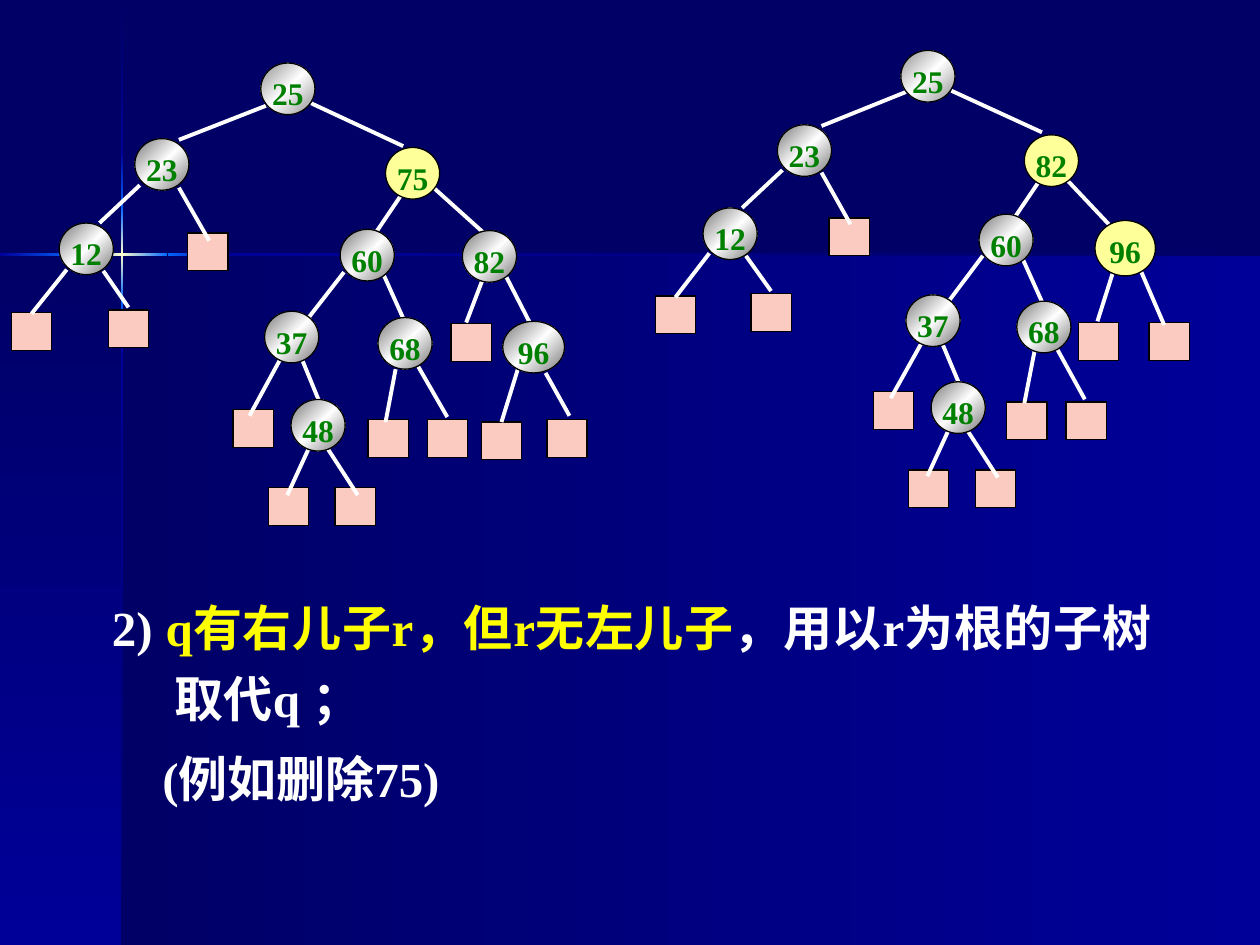
from dataclasses import dataclass

import lxml.etree
import pptx
import pptx.dml.color
import pptx.enum.shapes
import pptx.enum.text
import pptx.oxml
import pptx.oxml.ns
import pptx.slide
import pptx.util

Inches = pptx.util.Inches
Pt = pptx.util.Pt
Shapes = pptx.enum.shapes.MSO_SHAPE
Alignment = pptx.enum.text.PP_ALIGN

FONT = "Times New Roman"
COLORS = {
    "navy": "000066",
    "blue": "000099",
    "bright": "0066FF",
    "cream": "FFFFCC",
    "gray": "767676",
    "light_gray": "909090",
    "white": "FFFFFF",
    "black": "000000",
    "leaf": "FBCBC1",
    "highlight": "FFFF99",
    "key": "008000",
    "yellow": "FFFF00",
}


@dataclass(frozen=True)
class Panel:
    left: float
    top: float
    width: float
    height: float
    stops: tuple[str, ...]
    angle: int


@dataclass(frozen=True)
class Node:
    key: str
    left: float
    top: float
    fill: tuple[str, ...] = ("gray", "white", "gray")
    width: float = 0.43
    height: float = 0.41


@dataclass(frozen=True)
class Tree:
    nodes: list[Node]
    leaves: list[tuple[float, float]]
    edges: list[tuple[float, float, float, float]]


ROOT_FILL = ("light_gray", "white", "light_gray")
HIGHLIGHT = ("highlight",)
LEAF_SIZE = (0.32, 0.3)
FADE_IN = ("navy", "blue")
FADE_OUT = ("blue", "navy")
GLOW_IN = ("blue", "bright")
GLOW_OUT = ("bright", "blue")
FLARE = ("bright", "cream", "bright")

PANELS = [
    Panel(0.97, 2.02, 9.03, 5.48, FADE_IN, 0),
    Panel(0, 2.02, 0.97, 5.48, FADE_IN, 90),
    Panel(0.96, 0.01, 0.02, 1.2, FADE_IN, 90),
    Panel(0.96, 2.82, 0.02, 4.68, FADE_OUT, 90),
    Panel(1.77, 2.01, 8.23, 0.02, FADE_OUT, 0),
    Panel(0.96, 2.38, 0.02, 0.44, GLOW_OUT, 90),
    Panel(0.96, 1.21, 0.02, 0.44, GLOW_IN, 90),
    Panel(0.96, 1.65, 0.02, 0.73, FLARE, 90),
    Panel(0, 2.01, 0.61, 0.02, GLOW_IN, 0),
    Panel(1.33, 2.01, 0.44, 0.02, GLOW_OUT, 0),
    Panel(0.6, 2.01, 0.73, 0.02, FLARE, 0),
]

BEFORE = Tree(
    nodes=[
        Node("25", 2.07, 0.5, ROOT_FILL), Node("23", 1.07, 1.1),
        Node("75", 3.06, 1.17, HIGHLIGHT), Node("12", 0.47, 1.77),
        Node("60", 2.7, 1.82), Node("82", 3.67, 1.83),
        Node("37", 2.1, 2.47), Node("68", 3, 2.52),
        Node("96", 3.99, 2.55, width=0.49), Node("48", 2.31, 3.17),
    ],
    leaves=[
        (2.13, 3.87), (1.49, 1.85), (3.58, 2.57), (4.34, 3.33), (0.86, 2.46), (0.09, 2.48),
        (1.85, 3.25), (2.66, 3.87), (2.92, 3.33), (3.39, 3.33), (3.82, 3.35),
    ],
    edges=[
        (2.47, 0.82, 3.2, 1.16), (2.11, 0.84, 1.42, 1.11),
        (1.11, 1.47, 0.79, 1.77), (1.42, 1.49, 1.66, 1.91),
        (3.19, 1.54, 2.98, 1.85), (3.43, 1.48, 3.83, 1.84),
        (0.53, 2.14, 0.25, 2.49), (0.82, 2.15, 1.02, 2.44),
        (2.45, 3.56, 2.28, 3.93), (2.6, 3.56, 2.84, 3.93),
        (2.73, 2.16, 2.45, 2.52), (3.04, 2.17, 3.22, 2.57),
        (3.83, 2.22, 3.7, 2.56), (4.02, 2.2, 4.22, 2.59),
        (2.22, 2.86, 1.98, 3.3), (2.4, 2.86, 2.56, 3.25),
        (3.14, 2.93, 3.06, 3.35), (3.32, 2.91, 3.55, 3.31),
        (4.11, 2.93, 3.98, 3.35), (4.33, 2.96, 4.52, 3.3),
    ],
)

AFTER = Tree(
    nodes=[
        Node("25", 7.15, 0.4, ROOT_FILL), Node("23", 6.17, 0.99),
        Node("82", 8.13, 1.07, HIGHLIGHT), Node("12", 5.58, 1.65),
        Node("60", 7.77, 1.7), Node("96", 8.69, 1.75, HIGHLIGHT, 0.48, 0.44),
        Node("37", 7.19, 2.34), Node("68", 8.07, 2.39), Node("48", 7.39, 3.03),
    ],
    leaves=[
        (7.21, 3.73), (6.58, 1.73), (9.12, 2.56), (5.96, 2.33), (5.2, 2.35),
        (6.93, 3.11), (7.74, 3.73), (7.99, 3.19), (8.46, 3.19), (8.56, 2.56),
    ],
    edges=[
        (7.55, 0.72, 8.27, 1.05), (7.19, 0.73, 6.52, 1),
        (6.21, 1.35, 5.89, 1.65), (6.52, 1.37, 6.75, 1.78),
        (8.26, 1.42, 8.05, 1.73), (8.47, 1.43, 8.8, 1.78),
        (5.63, 2.01, 5.36, 2.36), (5.92, 2.03, 6.12, 2.31),
        (7.53, 3.41, 7.36, 3.78), (7.68, 3.42, 7.92, 3.79),
        (7.8, 2.03, 7.53, 2.39), (8.11, 2.04, 8.29, 2.44),
        (7.31, 2.73, 7.07, 3.16), (7.48, 2.73, 7.64, 3.11),
        (8.21, 2.79, 8.13, 3.2), (8.39, 2.77, 8.61, 3.17),
        (8.84, 2.14, 8.71, 2.55), (9.05, 2.14, 9.24, 2.58),
    ],
)


def rgb(name: str) -> pptx.dml.color.RGBColor:
    return pptx.dml.color.RGBColor.from_string(COLORS[name])


def set_fill(shape, stops: tuple[str, ...], angle: int) -> None:
    if len(stops) == 1:
        shape.fill.solid()
        shape.fill.fore_color.rgb = rgb(stops[0])
        return
    shape.fill.gradient()
    gradient = shape.element.spPr.find(pptx.oxml.ns.qn("a:gradFill"))
    stop_list = gradient.find(pptx.oxml.ns.qn("a:gsLst"))
    for stop in list(stop_list):
        stop_list.remove(stop)
    for index, name in enumerate(stops):
        position = 100000 * index // (len(stops) - 1)
        stop = lxml.etree.SubElement(stop_list, pptx.oxml.ns.qn("a:gs"), pos=str(position))
        lxml.etree.SubElement(stop, pptx.oxml.ns.qn("a:srgbClr"), val=COLORS[name])
    gradient.find(pptx.oxml.ns.qn("a:lin")).set("ang", str(angle * 60000))


def add_filled(slide: pptx.slide.Slide, kind: Shapes, box: tuple[float, ...],
               stops: tuple[str, ...], angle: int = 45, outlined: bool = True):
    shape = slide.shapes.add_shape(kind, *map(Inches, box))
    shape.shadow.inherit = False
    set_fill(shape, stops, angle)
    if outlined:
        shape.line.color.rgb = rgb("black")
        shape.line.width = Pt(0.75)
    else:
        shape.line.fill.background()
    return shape


def add_edge(slide: pptx.slide.Slide, edge: tuple[float, ...]) -> None:
    straight = pptx.enum.shapes.MSO_CONNECTOR.STRAIGHT
    connector = slide.shapes.add_connector(straight, *map(Inches, edge))
    connector.line.color.rgb = rgb("white")
    connector.line.width = Pt(2.25)
    lxml.etree.SubElement(connector.element.spPr, pptx.oxml.ns.qn("a:effectLst"))


def style_paragraph(paragraph, size: int, color: str, alignment: Alignment) -> None:
    paragraph.alignment = alignment
    paragraph.font.name = FONT
    paragraph.font.size = Pt(size)
    paragraph.font.bold = True
    paragraph.font.color.rgb = rgb(color)


def add_node(slide: pptx.slide.Slide, node: Node) -> None:
    box = (node.left, node.top, node.width, node.height)
    shape = add_filled(slide, Shapes.OVAL, box, node.fill)
    frame = shape.text_frame
    frame.margin_left = frame.margin_right = Inches(0.02)
    frame.margin_top, frame.margin_bottom = Inches(0.03), Inches(0.01)
    frame.vertical_anchor = pptx.enum.text.MSO_ANCHOR.TOP
    frame.text = node.key
    style_paragraph(frame.paragraphs[0], 18, "key", Alignment.CENTER)


def add_tree(slide: pptx.slide.Slide, tree: Tree) -> None:
    for corner in tree.leaves:
        add_filled(slide, Shapes.RECTANGLE, corner + LEAF_SIZE, ("leaf",))
    for edge in tree.edges:
        add_edge(slide, edge)
    for node in tree.nodes:
        add_node(slide, node)


def add_explanation(slide: pptx.slide.Slide) -> None:
    frame = slide.shapes.add_textbox(*map(Inches, (0.79, 4.6, 8.45, 1.89))).text_frame
    frame.word_wrap = True
    rule, example = frame.paragraphs[0], frame.add_paragraph()
    for paragraph, margin, indent in ((rule, 0.5, -0.5), (example, 0.4, 0)):
        properties = paragraph._p.get_or_add_pPr()
        properties.set("marL", str(Inches(margin)))
        properties.set("indent", str(Inches(indent)))
        paragraph.line_spacing = 1.2
        style_paragraph(paragraph, 28, "white", Alignment.JUSTIFY)
    example.space_before = Pt(5.6)
    for text, color in (("2) ", "white"), ("q有右儿子r，但r无左儿子", "yellow"),
                        ("，用以r为根的子树取代q ；", "white")):
        run = rule.add_run()
        run.text = text
        run.font.color.rgb = rgb(color)
    example.add_run().text = "(例如删除75)"


def main() -> None:
    presentation = pptx.Presentation()
    presentation.slide_width, presentation.slide_height = Inches(10), Inches(7.5)
    slide = presentation.slides.add_slide(presentation.slide_layouts[6])
    slide.background.fill.solid()
    slide.background.fill.fore_color.rgb = rgb("navy")
    for panel in PANELS:
        box = (panel.left, panel.top, panel.width, panel.height)
        add_filled(slide, Shapes.RECTANGLE, box, panel.stops, panel.angle, outlined=False)
    add_tree(slide, BEFORE)
    add_explanation(slide)
    add_tree(slide, AFTER)
    presentation.save("out.pptx")


if __name__ == "__main__":
    main()
